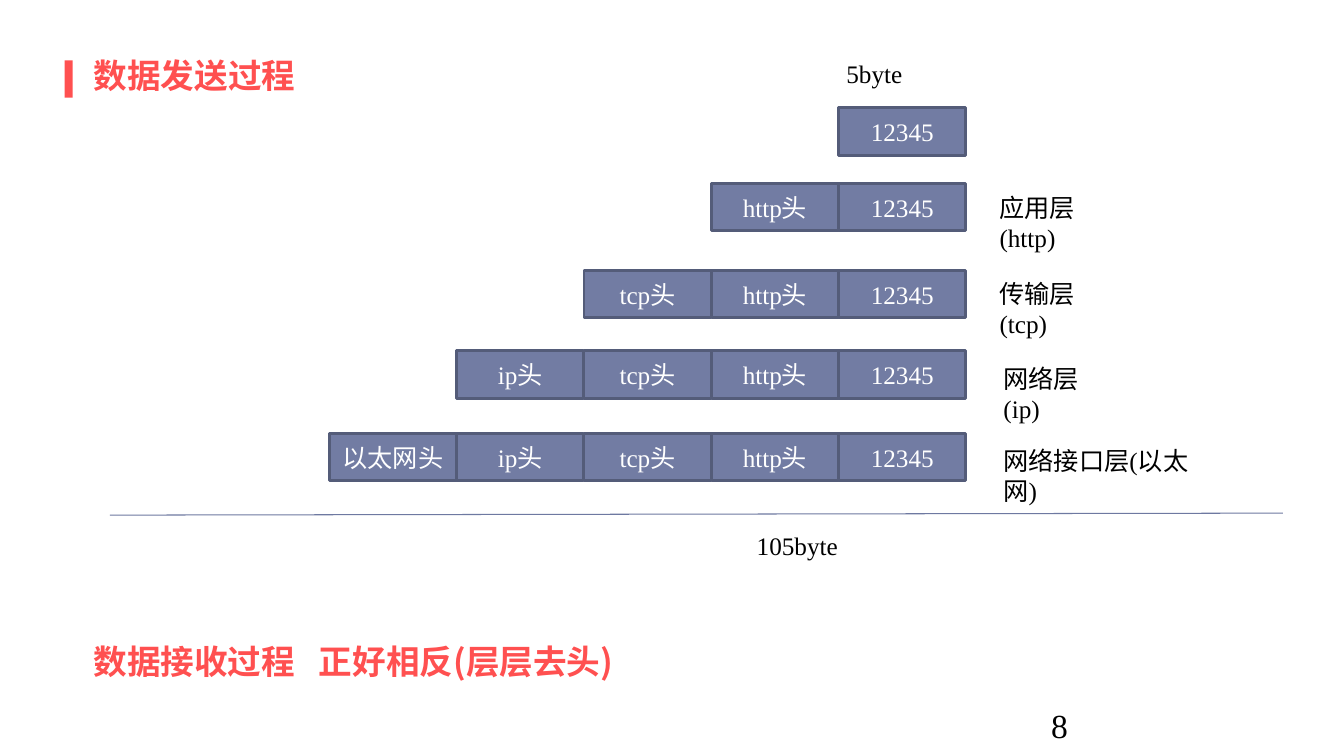
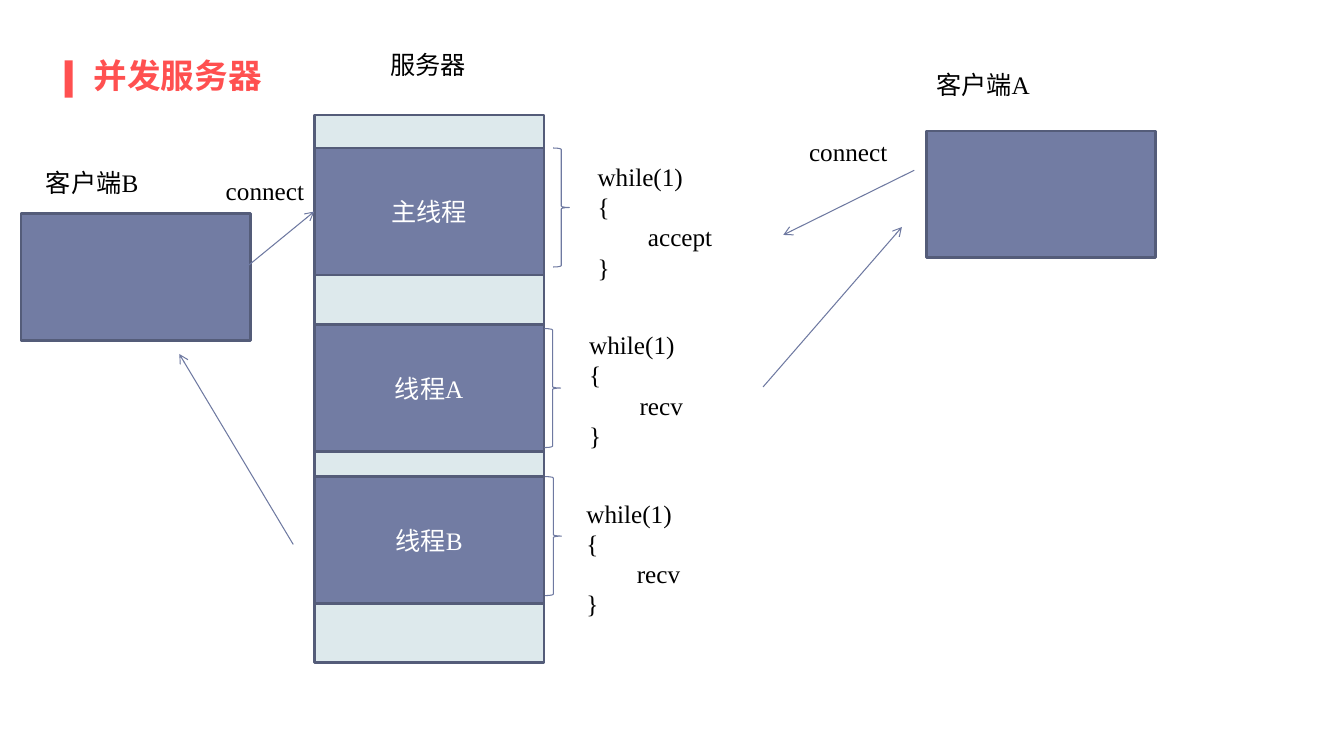
import pptx
import pptx.util
import pptx.dml.color
import pptx.enum.shapes
import pptx.enum.text
import pptx.oxml
import pptx.oxml.ns

Cm = pptx.util.Cm
Pt = pptx.util.Pt
RGBColor = pptx.dml.color.RGBColor
Shapes = pptx.enum.shapes.MSO_SHAPE
Anchor = pptx.enum.text.MSO_ANCHOR
Align = pptx.enum.text.PP_ALIGN
AutoSize = pptx.enum.text.MSO_AUTO_SIZE

# Shared look
COLORS = {
    "accent": "FF5050",
    "block": "727CA3",
    "block_line": "545C79",
    "server": "DDE9EC",
    "line": "6E79A1",
    "text": "000000",
    "block_text": "FFFFFF",
}
EAST_ASIAN_FONT = "Noto Sans CJK SC"
LATIN_FONT = "Times New Roman"
TEXT_STYLES = {
    "title": {
        "font": {"name": EAST_ASIAN_FONT, "size": Pt(24), "bold": True},
        "frame": {"vertical_anchor": Anchor.MIDDLE, "word_wrap": True},
        "align": Align.LEFT, "color": "accent",
    },
    "label": {
        "font": {"name": LATIN_FONT, "size": Pt(18)},
        "frame": {"vertical_anchor": Anchor.TOP, "word_wrap": False},
        "align": Align.LEFT, "color": "text",
    },
    "wrapped": {
        "font": {"name": LATIN_FONT, "size": Pt(18)},
        "frame": {"vertical_anchor": Anchor.TOP, "word_wrap": True},
        "align": Align.LEFT, "color": "text",
    },
    "number": {
        "font": {"name": LATIN_FONT, "size": Pt(24)},
        "frame": {"vertical_anchor": Anchor.TOP, "word_wrap": True},
        "align": Align.LEFT, "color": "text",
    },
    "block": {
        "font": {"name": LATIN_FONT, "size": Pt(18)},
        "frame": {"vertical_anchor": Anchor.MIDDLE, "word_wrap": True},
        "align": Align.CENTER, "color": "block_text",
    },
}
# Preset shape, fill, line colour, line width in points
SHAPE_STYLES = {
    "bar": (Shapes.RECTANGLE, "accent", None, 0),
    "block": (Shapes.RECTANGLE, "block", "block_line", 2),
    "server": (Shapes.RECTANGLE, "server", "block_line", 2),
    "brace": (Shapes.RIGHT_BRACE, None, "line", 0.75),
}


def write_text(shape, text, style_name):
    style = TEXT_STYLES[style_name]
    frame = shape.text_frame
    frame.text = text
    frame.auto_size = AutoSize.NONE
    for name, value in style["frame"].items():
        setattr(frame, name, value)
    for paragraph in frame.paragraphs:
        paragraph.alignment = style["align"]
        for run in paragraph.runs:
            for name, value in style["font"].items():
                setattr(run.font, name, value)
            run.font.color.rgb = RGBColor.from_string(COLORS[style["color"]])
            east_asian = pptx.oxml.parse_xml(
                f'<a:ea {pptx.oxml.ns.nsdecls("a")} typeface="{EAST_ASIAN_FONT}"/>')
            run.font._element.find(pptx.oxml.ns.qn("a:latin")).addnext(east_asian)


def add_item(slide, style_name, box, text=""):
    """Add a styled shape, or a text box when the style has no outline."""
    box = [Cm(length) for length in box]
    if style_name not in SHAPE_STYLES:
        shape = slide.shapes.add_textbox(*box)
    else:
        preset, fill, line, width = SHAPE_STYLES[style_name]
        shape = slide.shapes.add_shape(preset, *box)
        shape.shadow.inherit = False
        if fill:
            shape.fill.solid()
            shape.fill.fore_color.rgb = RGBColor.from_string(COLORS[fill])
        else:
            shape.fill.background()
        if line:
            shape.line.color.rgb = RGBColor.from_string(COLORS[line])
            shape.line.width = Pt(width)
        else:
            shape.line.fill.background()
    if text:
        write_text(shape, text, style_name)
    return shape


presentation = pptx.Presentation()
presentation.slide_width = Cm(33.87)
presentation.slide_height = Cm(19.05)
layout = presentation.slide_layouts[5]

# Slides with their titles
TITLE_BOX = (2.11, 1.3, 29.67, 1.17)
slides = []
for title in ("数据发送过程", "并发服务器"):
    slide = presentation.slides.add_slide(layout)
    shape = slide.shapes.title
    for name, value in zip(("left", "top", "width", "height"), TITLE_BOX):
        setattr(shape, name, Cm(value))
    write_text(shape, title, "title")
    slides.append(slide)
sending_slide, server_slide = slides

# The title bar belongs to the layout
title_bar = add_item(sending_slide, "bar", (1.63, 1.52, 0.2, 0.94))
layout.shapes._spTree.append(title_bar._element)

# Slide 1: each layer puts one more header in front of the data
PARTS = ("12345", "http头", "tcp头", "ip头", "以太网头")
DATA_LEFT, PART_STEP = 21.14, 3.21
for count, top in enumerate((2.72, 4.62, 6.81, 8.84, 10.92), start=1):
    for index, part in enumerate(PARTS[:count]):
        left = DATA_LEFT - index * PART_STEP
        add_item(sending_slide, "block", (left, top, 3.2, 1.2), part)

# Layer names
for text, left, top, width in (
    ("应用层(http)", 24.94, 4.72, 3.7),
    ("传输层(tcp)", 24.94, 6.88, 3.5),
    ("网络层(ip)", 25.04, 9.02, 3.2),
    ("网络接口层(以太网)", 25.04, 11.1, 5.9),
):
    add_item(sending_slide, "wrapped", (left, top, width, 1.02), text)

# Sizes, page number and closing line
add_item(sending_slide, "label", (21.08, 1.35, 1.93, 1.02), "5byte")
add_item(sending_slide, "label", (18.82, 13.23, 2.57, 1.02), "105byte")
add_item(sending_slide, "number", (26.24, 17.65, 7.62, 1.02), "8")
closing = add_item(sending_slide, "title", (2.11, 16.08, 29.67, 1.17),
                   "数据接收过程\t正好相反(层层去头)")
closing.text_frame.paragraphs[0]._p.get_or_add_pPr().append(pptx.oxml.parse_xml(
    f'<a:tabLst {pptx.oxml.ns.nsdecls("a")}>'
    f'<a:tab pos="{Cm(5.68)}" algn="l"/></a:tabLst>'))

# Slide 2: server with its threads, their braces and loops
SERVER_LEFT, BLOCK_WIDTH, BLOCK_HEIGHT = 7.92, 5.79, 3.2
add_item(server_slide, "server", (SERVER_LEFT, 2.9, BLOCK_WIDTH, 13.79))
for name, top, brace_at, code_at, call in (
    ("主线程", 3.73, (13.94, 3.73), (14.81, 3.94), "accept"),
    ("线程A", 8.18, (13.72, 8.28), (14.6, 8.18), "recv"),
    ("线程B", 12.01, (13.74, 12.01), (14.53, 12.42), "recv"),
):
    add_item(server_slide, "block", (SERVER_LEFT, top, BLOCK_WIDTH, BLOCK_HEIGHT), name)
    add_item(server_slide, "brace", (*brace_at, 0.41, 3))
    add_item(server_slide, "label", (*code_at, 4.67, 3.33),
             "\n".join(("while(1)", "{", "\t" + call, "}")))

# Clients
for left, top in ((23.34, 3.3), (0.53, 5.38)):
    add_item(server_slide, "block", (left, top, BLOCK_WIDTH, BLOCK_HEIGHT))

# Names and calls
for text, left, top, width in (
    ("服务器", 9.58, 1.12, 3.48),
    ("客户端A", 23.34, 1.63, 3.48),
    ("客户端B", 0.91, 4.09, 3.48),
    ("connect", 20.14, 3.3, 2.49),
    ("connect", 5.44, 4.29, 2.49),
):
    add_item(server_slide, "label", (left, top, width, 1.02), text)

# Lines and arrows
for slide, points, has_arrow in (
    (sending_slide, (2.77, 12.98, 32.33, 12.93), False),
    (server_slide, (23.04, 4.29, 19.74, 5.92), True),
    (server_slide, (19.23, 9.75, 22.73, 5.72), True),
    (server_slide, (6.27, 6.68, 7.92, 5.33), True),
    (server_slide, (7.39, 13.72, 4.52, 8.92), True),
):
    connector = slide.shapes.add_connector(
        pptx.enum.shapes.MSO_CONNECTOR.STRAIGHT, *[Cm(point) for point in points])
    connector.line.color.rgb = RGBColor.from_string(COLORS["line"])
    connector.line.width = Pt(0.75)
    if has_arrow:
        connector.line._get_or_add_ln().append(pptx.oxml.parse_xml(
            f'<a:tailEnd {pptx.oxml.ns.nsdecls("a")} type="arrow"/>'))
    connector._element.spPr.append(pptx.oxml.parse_xml(
        f'<a:effectLst {pptx.oxml.ns.nsdecls("a")}/>'))

presentation.save("out.pptx")
